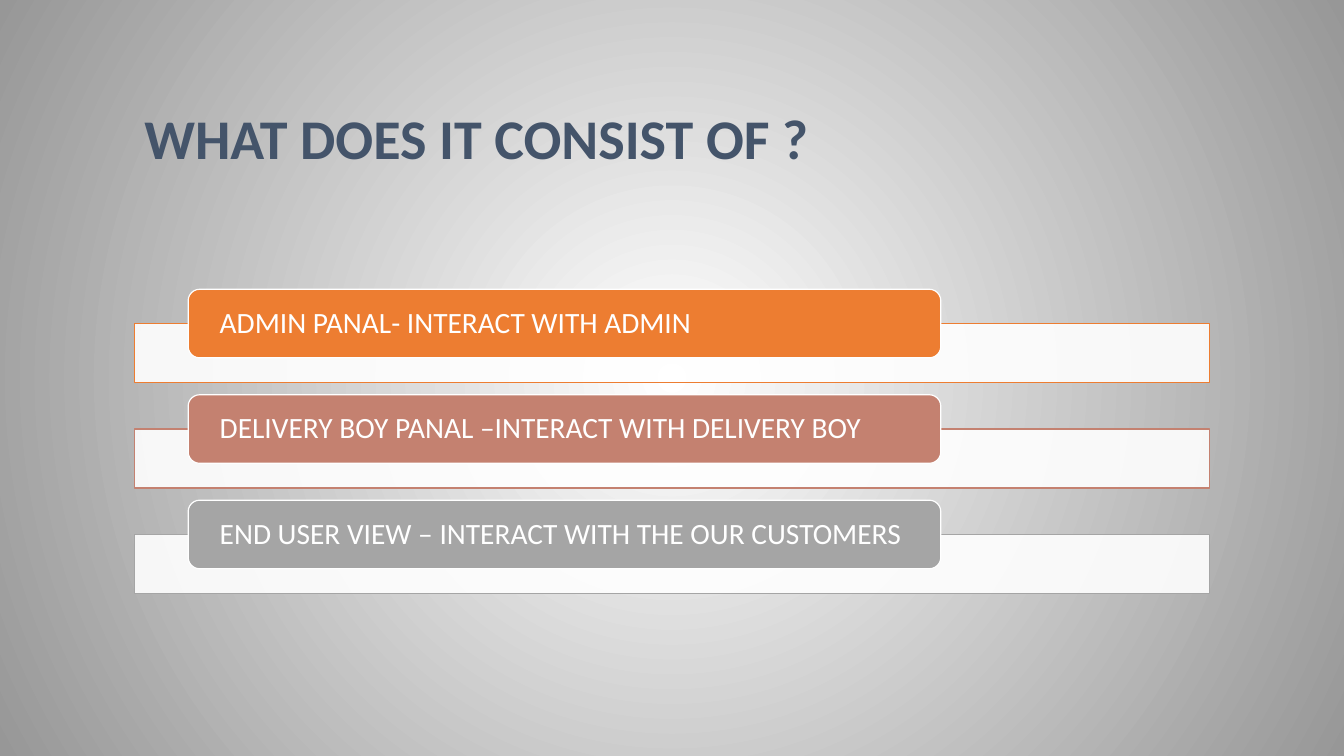
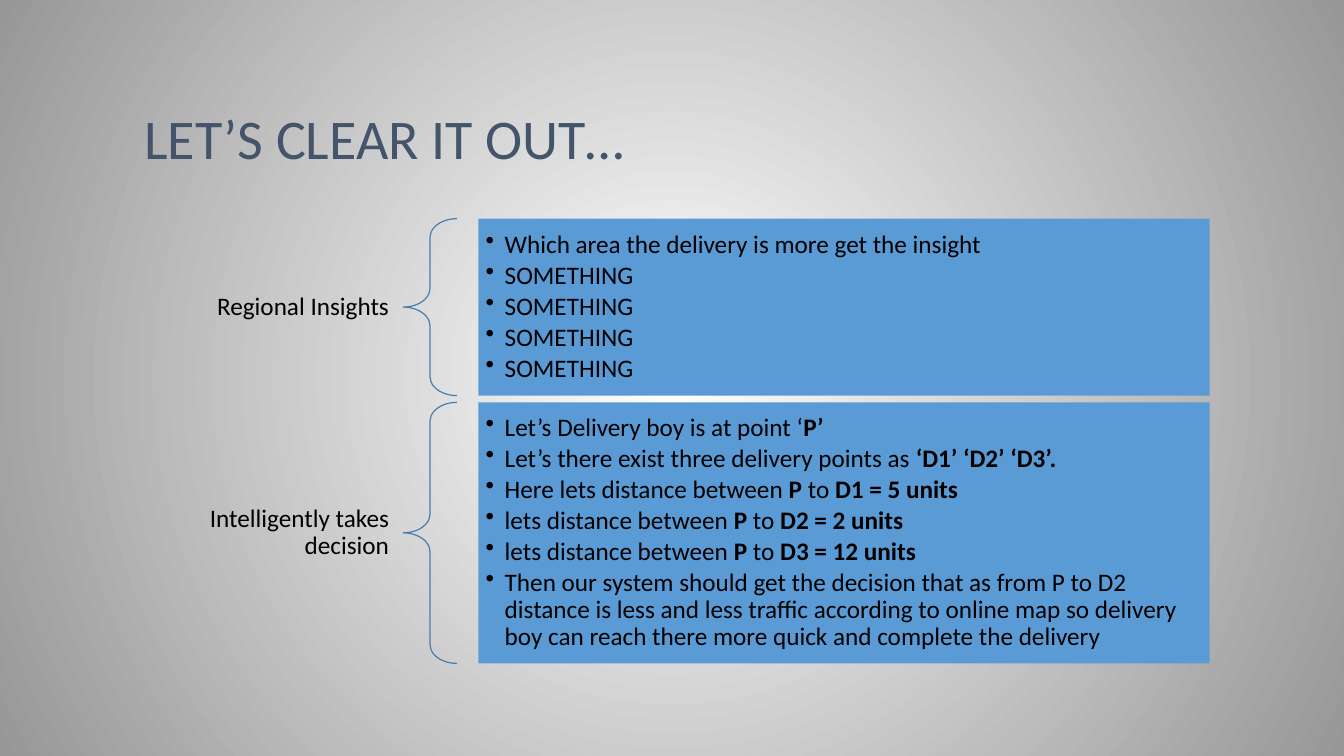
from dataclasses import dataclass
from lxml import etree
from pptx import Presentation
from pptx.dml.color import RGBColor as Rgb
from pptx.enum.shapes import MSO_SHAPE as Kind
from pptx.enum.text import MSO_ANCHOR as Anchor, PP_ALIGN as Align
from pptx.oxml.ns import qn
from pptx.shapes.autoshape import Shape
from pptx.slide import Slide
from pptx.util import Inches, Pt

WIDE, HIGH = Inches(13.33), Inches(7.5)
FONT = "Calibri"
HUES = {
    "white": "FFFFFF", "edge": "979797", "title": "44546A", "black": "000000",
    "orange": "ED7D31", "rose": "C48170", "gray": "A5A5A5",
    "blue": "5B9BD5", "brace": "497CAB",
}


@dataclass
class Box:
    """Place and size in percent of the slide's width and height."""
    x: float
    y: float
    w: float
    h: float

    def emu(self) -> tuple[int, ...]:
        return (round(WIDE * self.x / 100), round(HIGH * self.y / 100),
                round(WIDE * self.w / 100), round(HIGH * self.h / 100))


@dataclass
class Style:
    size: float
    hue: str
    bold: bool | None = None
    align: Align = Align.LEFT
    anchor: Anchor = Anchor.MIDDLE
    pad: tuple[float, float] = (0.1, 0.05)
    bullet: bool = False


@dataclass
class Tab:
    text: str
    hue: str


@dataclass
class Panel:
    label: str
    high: float
    lines: list[str]


def tint(name: str) -> Rgb:
    return Rgb.from_string(HUES[name])


def write(shape: Shape, lines: list[str], style: Style) -> None:
    """Fill a shape with text; parts between asterisks are bold."""
    frame = shape.text_frame
    frame.word_wrap = True
    frame.vertical_anchor = style.anchor
    frame.margin_left = frame.margin_right = Inches(style.pad[0])
    frame.margin_top = frame.margin_bottom = Inches(style.pad[1])
    for i, line in enumerate(lines):
        para = frame.add_paragraph() if i else frame.paragraphs[0]
        if style.bullet:
            props = para._p.get_or_add_pPr()
            props.set("marL", str(Inches(0.19)))
            props.set("indent", str(-Inches(0.19)))
            etree.SubElement(props, qn("a:buChar")).set("char", "•")
            para.space_after = Pt(2.7)
        para.alignment = style.align
        para.line_spacing = 0.9
        font = para.font
        font.name, font.size, font.bold = FONT, Pt(style.size), style.bold
        font.color.rgb = tint(style.hue)
        for j, part in enumerate(line.split("*")):
            if part:
                run = para.add_run()
                run.text = part
                if j % 2:
                    run.font.bold = True


def draw(slide: Slide, kind: Kind, box: Box, fill: str = "",
         line: str = "", alpha: int = 100) -> Shape:
    shape = slide.shapes.add_shape(kind, *box.emu())
    shape.shadow.inherit = False
    if fill:
        shape.fill.solid()
        shape.fill.fore_color.rgb = tint(fill)
        if alpha < 100:
            clr = next(shape.element.iter(qn("a:srgbClr")))
            etree.SubElement(clr, qn("a:alpha")).set("val", str(alpha * 1000))
    else:
        shape.fill.background()
    if line:
        shape.line.color.rgb = tint(line)
        shape.line.width = Pt(0.85)
    else:
        shape.line.fill.background()
    return shape


def label(slide: Slide, box: Box, text: str, style: Style) -> None:
    write(slide.shapes.add_textbox(*box.emu()), [text], style)


# Shared background: light in the middle, gray at the rim
def paint(deck: Presentation) -> None:
    master = deck.slide_master
    fill = master.background.fill
    fill.gradient()
    for stop, name in zip(fill.gradient_stops, ("white", "edge")):
        stop.color.rgb = tint(name)
    old = next(master.element.cSld.iter(qn("a:lin")))
    ring = etree.Element(qn("a:path"), {"path": "circle"})
    etree.SubElement(ring, qn("a:fillToRect"), dict.fromkeys("ltrb", "50000"))
    old.getparent().replace(old, ring)


def start(deck: Presentation, title: str, bold: bool = False) -> Slide:
    slide = deck.slides.add_slide(deck.slide_layouts[6])
    label(slide, Box(LEFT, 4, SPAN, 19.33), title,
          Style(40, "title", bold, anchor=Anchor.BOTTOM))
    return slide


LEFT, SPAN = 10, 80
TOP, STEP = 38.27, 13.95  # tabs
HEAD, GAP = 28.93, 0.9  # panels
TAB = Style(21, "white", pad=(0.28, 0))
NAME = Style(18, "black", align=Align.RIGHT, pad=(0.14, 0.05))
LIST = Style(18, "black", pad=(0.07, 0.07), bullet=True)

TABS = [
    Tab("ADMIN PANAL- INTERACT WITH ADMIN", "orange"),
    Tab("DELIVERY BOY PANAL –INTERACT WITH DELIVERY BOY", "rose"),
    Tab("END USER VIEW – INTERACT WITH THE OUR CUSTOMERS", "gray"),
]
PANELS = [
    Panel("Regional Insights", 23.4, [
        "Which area the delivery is more get the insight",
        *["SOMETHING"] * 4,
    ]),
    Panel("Intelligently takes decision", 34.53, [
        "Let’s Delivery boy is at point ‘*P’*",
        "Let’s there exist three delivery points as *‘D1’ ‘D2’ ‘D3’.*",
        "Here lets distance between *P *to *D1 = 5 units*",
        "lets distance between *P *to *D2 = 2 units*",
        "lets distance between *P *to *D3 = 12 units*",
        "Then our system should get the decision that as from P to D2 "
        "distance is less and less traffic according to online map so "
        "delivery boy can reach there more quick and complete the delivery",
    ]),
]


# Slide 1: tabs on bars
def parts(deck: Presentation) -> None:
    slide = start(deck, "WHAT DOES IT CONSIST OF ?", True)
    for i, tab in enumerate(TABS):
        y = TOP + i * STEP
        draw(slide, Kind.RECTANGLE, Box(LEFT, y + 4.53, SPAN, 7.8),
             "white", tab.hue, 90)
        shape = draw(slide, Kind.ROUNDED_RECTANGLE, Box(14, y, 56, 9.07),
                     tab.hue, "white")
        write(shape, [tab.text], TAB)


# Slide 2: label, brace and list in each row
def detail(deck: Presentation) -> None:
    slide = start(deck, "LET’S CLEAR IT OUT…")
    y = HEAD
    for panel in PANELS:
        label(slide, Box(LEFT, y, 20, panel.high), panel.label, NAME)
        brace = draw(slide, Kind.LEFT_BRACE, Box(30, y, 4, panel.high),
                     line="brace")
        brace.adjustments[0] = 0.35
        shape = draw(slide, Kind.RECTANGLE, Box(35.6, y, 54.4, panel.high),
                     "blue")
        write(shape, panel.lines, LIST)
        y += panel.high + GAP


def main() -> None:
    deck = Presentation()
    deck.slide_width, deck.slide_height = WIDE, HIGH
    paint(deck)
    parts(deck)
    detail(deck)
    deck.save("out.pptx")


if __name__ == "__main__":
    main()
